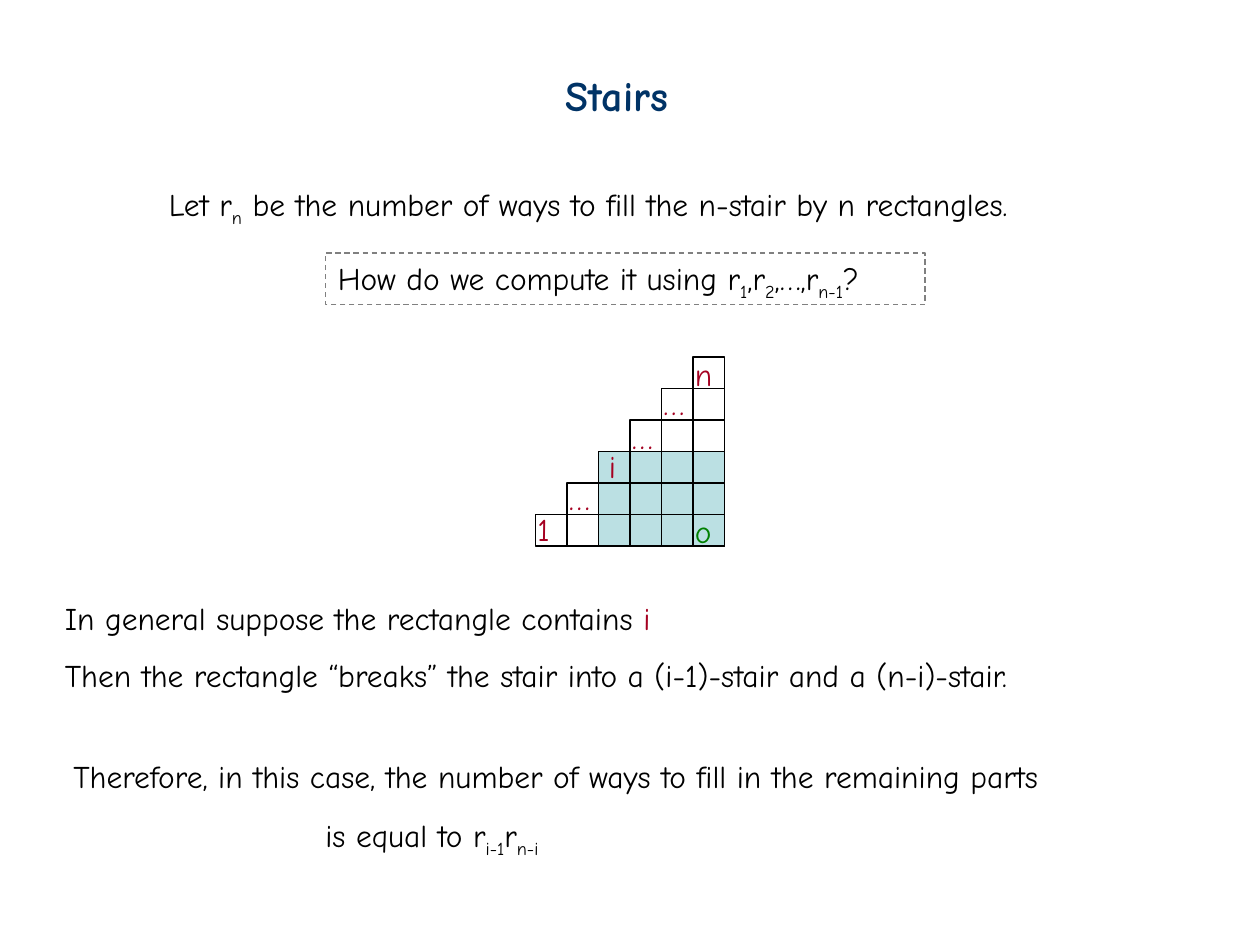
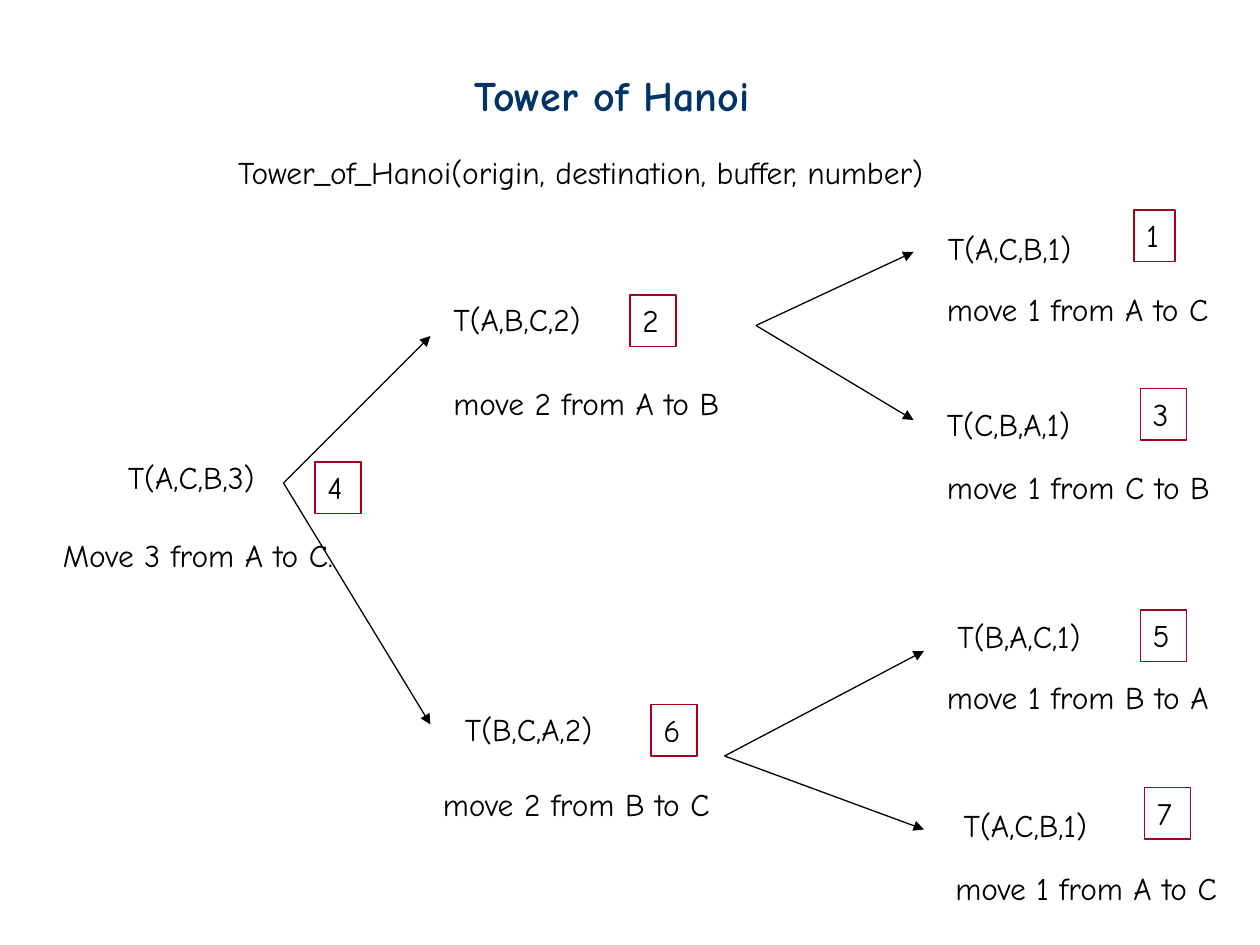
from lxml import etree
from pptx import Presentation
from pptx.dml.color import RGBColor
from pptx.enum.dml import MSO_LINE
from pptx.enum.shapes import MSO_CONNECTOR, MSO_SHAPE
from pptx.enum.text import MSO_ANCHOR, MSO_AUTO_SIZE, PP_ALIGN
from pptx.oxml.ns import qn
from pptx.util import Inches, Pt

RECTANGLE = MSO_SHAPE.RECTANGLE
STRAIGHT = MSO_CONNECTOR.STRAIGHT
DASH = MSO_LINE.DASH
LEFT, TOP = PP_ALIGN.LEFT, MSO_ANCHOR.TOP
FIT_SHAPE = MSO_AUTO_SIZE.SHAPE_TO_FIT_TEXT

BLACK = RGBColor(0x00, 0x00, 0x00)
NAVY = RGBColor(0x00, 0x33, 0x66)
CRIMSON = RGBColor(0xA5, 0x00, 0x21)
GREEN = RGBColor(0x00, 0x80, 0x00)
GRAY = RGBColor(0x80, 0x80, 0x80)
PALE_TEAL = RGBColor(0xBB, 0xE0, 0xE3)

FONT = "Comic Neue"
TITLE_SIZE, TEXT_SIZE = Pt(24), Pt(18)
LINE_WIDTH = Pt(0.75)
COLUMNS, ROWS = 120, 90
TITLE_ONLY_LAYOUT = 5
TEXT_HEIGHT = 4.8


class Deck:
    """Holds the style and the current slide; lengths are grid columns and rows."""

    def __init__(self):
        self.presentation = Presentation()
        self.presentation.slide_width = Inches(10)
        self.presentation.slide_height = Inches(7.5)
        self.column = self.presentation.slide_width / COLUMNS
        self.row = self.presentation.slide_height / ROWS
        self.slide = None

    def place(self, across, down):
        return round(across * self.column), round(down * self.row)

    def new_slide(self, title, left, width):
        layout = self.presentation.slide_layouts[TITLE_ONLY_LAYOUT]
        self.slide = self.presentation.slides.add_slide(layout)
        shape = self.slide.shapes.title
        shape.left, shape.top = self.place(left, 6)
        shape.width, shape.height = self.place(width, 6)
        self.fill_text(shape, [title], NAVY, TITLE_SIZE, bold=True)

    def fill_text(self, shape, lines, color=BLACK, size=TEXT_SIZE, bold=False, spacing=1.5):
        """Fill a shape with text: ~marks~ lower a part, *marks* accent it."""
        frame = shape.text_frame
        frame.word_wrap = False
        frame.auto_size = FIT_SHAPE
        frame.vertical_anchor = TOP
        for number, line in enumerate(lines):
            paragraph = frame.add_paragraph() if number else frame.paragraphs[0]
            paragraph.alignment = LEFT
            paragraph.space_before = Pt(0)
            if number:
                paragraph.line_spacing = spacing
            font = paragraph.font
            font.name, font.size, font.bold = FONT, size, bold
            font.color.rgb = color
            for accent, part in enumerate(line.split("*")):
                for lowered, words in enumerate(part.split("~")):
                    if words:
                        run = paragraph.add_run()
                        run.text = words
                        if accent % 2:
                            run.font.color.rgb = CRIMSON
                        if lowered % 2:
                            run._r.get_or_add_rPr().set("baseline", "-25000")
        return frame

    def text(self, left, top, width, *lines, color=BLACK, height=TEXT_HEIGHT):
        box = self.slide.shapes.add_textbox(
            *self.place(left, top), *self.place(width, height))
        return self.fill_text(box, lines, color)

    def rectangle(self, left, top, width, height, line=BLACK, fill=None):
        shape = self.slide.shapes.add_shape(
            RECTANGLE, *self.place(left, top), *self.place(width, height))
        shape.shadow.inherit = False
        if fill is None:
            shape.fill.background()
        else:
            shape.fill.solid()
            shape.fill.fore_color.rgb = fill
        shape.line.color.rgb = line
        shape.line.width = LINE_WIDTH
        return shape

    def framed_text(self, left, top, width, words, line):
        shape = self.rectangle(left, top, width, 4.9, line)
        self.fill_text(shape, [words])
        return shape

    def arrow(self, start, end):
        connector = self.slide.shapes.add_connector(
            STRAIGHT, *self.place(*start), *self.place(*end))
        connector.line.color.rgb = BLACK
        connector.line.width = LINE_WIDTH
        outline = connector.line._get_or_add_ln()
        etree.SubElement(outline, qn("a:tailEnd"), type="triangle")
        etree.SubElement(connector._element.spPr, qn("a:effectLst"))


def draw_stair(deck):
    left, bottom, cell, steps = 51, 49, 3, 6
    deck.rectangle(left + 2 * cell, bottom - 2 * cell, 4 * cell, 3 * cell, fill=PALE_TEAL)
    for step in range(steps):
        for level in range(step + 1):
            deck.rectangle(left + step * cell, bottom - level * cell, cell, cell)
    # Each step's mark, with its small shift right and down.
    marks = [("1", 0, 0), ("…", 0, 0), ("i", 0.8, 0),
             ("…", 0, 0.2), ("…", 0, 0), ("n", 0, 0.2)]
    for step, (mark, right, down) in enumerate(marks):
        deck.text(left - 1 + step * cell + right, bottom - 1 - step * cell + down,
                  4, mark, color=CRIMSON)
    deck.text(left - 1 + (steps - 1) * cell, bottom - 0.8, 4, "o", color=GREEN)


def build_stairs(deck):
    deck.new_slide("Stairs", 52.7, 14.3)
    deck.text(14.9, 17, 91,
              "Let r~n~ be the number of ways to fill the n-stair by n rectangles.")
    question = deck.framed_text(
        31, 24.1, 57.1, "How do we compute it using r~1~,r~2~,…,r~n-1~?", GRAY)
    question.line.dash_style = DASH
    draw_stair(deck)
    deck.text(5, 56.5, 102, "In general suppose the rectangle contains *i*",
              "Then the rectangle “breaks” the stair into a (i-1)-stair and a (n-i)-stair.",
              height=10.2)
    conclusion = deck.text(
        5.8, 71.5, 105.1,
        "Therefore, in this case, the number of ways to fill in the remaining parts",
        "is equal to r~i-1~r~n-i~", height=10.2)
    result = conclusion.paragraphs[1]._p.get_or_add_pPr()
    result.set("marL", str(Inches(2)))
    result.set("indent", "0")


def build_hanoi(deck):
    deck.new_slide("Tower of Hanoi", 44, 32.4)
    deck.text(21.5, 14, 76.6, "Tower_of_Hanoi(origin, destination, buffer, number)")
    # Call and its place, move and its place, then the place of its order number.
    calls = [
        ("T(A,C,B,1)", 89.1, 21.2, "move 1 from A to C", 89, 27, 108, 20),
        ("T(A,B,C,2)", 42, 28, "move 2 from A to B", 42, 36, 60, 28.1),
        ("T(C,B,A,1)", 89, 38, "move 1 from C to B", 89, 44, 108.6, 37),
        ("T(A,C,B,3)", 11, 43, "Move 3 from A to C.", 4.8, 50.5, 30, 44),
        ("T(B,A,C,1)", 90, 58.2, "move 1 from B to A", 89, 64, 108.6, 58.1),
        ("T(B,C,A,2)", 43.1, 67, "move 2 from B to C", 41, 74.2, 62, 67.1),
        ("T(A,C,B,1)", 90.6, 76.2, "move 1 from A to C", 89.8, 82.2, 109, 75),
    ]
    for order, (call, call_left, call_top, move, move_left, move_top,
                badge_left, badge_top) in enumerate(calls, 1):
        deck.text(call_left, call_top, 16.8, call)
        deck.text(move_left, move_top, 29.3, move)
        badge_width = 3.9 if order == 1 else 4.4
        deck.framed_text(badge_left, badge_top, badge_width, str(order), CRIMSON)
    branches = {
        (27, 46): [(41, 32), (41, 69)],
        (72, 31): [(87, 24), (87, 40)],
        (69, 72): [(88, 62), (88, 79)],
    }
    for start, ends in branches.items():
        for end in ends:
            deck.arrow(start, end)


def main():
    deck = Deck()
    build_stairs(deck)
    build_hanoi(deck)
    deck.presentation.save("out.pptx")


if __name__ == "__main__":
    main()
